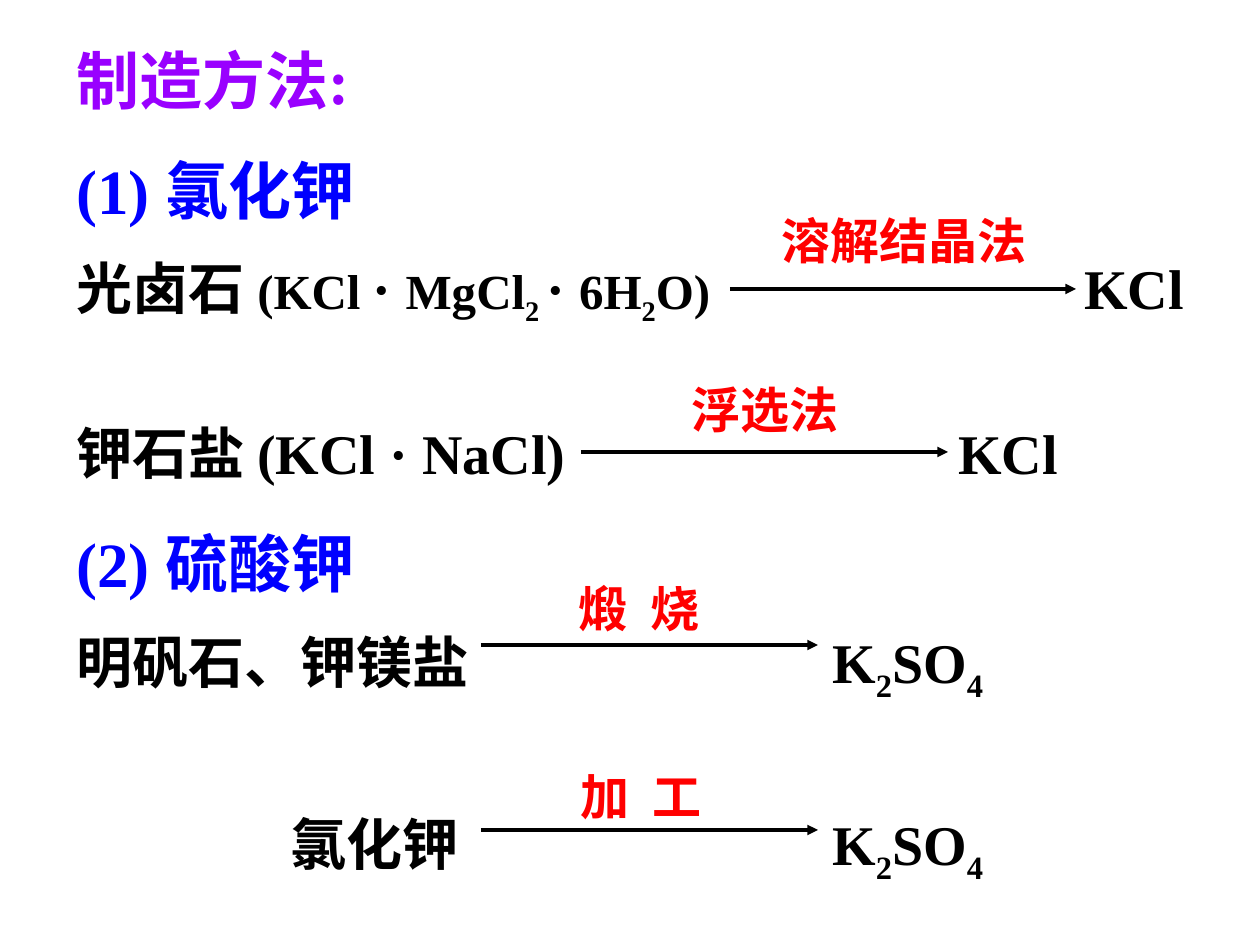
import pptx
import pptx.dml.color
import pptx.enum.shapes
import pptx.oxml
import pptx.oxml.ns
import pptx.util

SCALE = 914400 / 126
BLACK, BLUE, RED, PURPLE = "000000", "0000FF", "FF0000", "9900FF"
LATIN, CHINESE = "Times New Roman", "Noto Sans CJK SC"


def px(length):
    return pptx.util.Emu(round(length * SCALE))


def color(code):
    return pptx.dml.color.RGBColor.from_string(code)


def add_child(parent, tag, **attributes):
    child = pptx.oxml.ns.qn(tag)
    element = parent.makeelement(child, attributes)
    parent.append(element)
    return element


def add_span(para, text, size=32, ink=BLACK, font=LATIN, baseline=0, spacing=0):
    span = para.add_run()
    span.text = text
    span.font.size = pptx.util.Pt(size)
    span.font.bold = True
    span.font.color.rgb = color(ink)
    span.font.name = font
    properties = span.font._element
    add_child(properties, "a:ea", typeface=CHINESE)
    if baseline:
        properties.set("baseline", str(baseline * 1000))
    if spacing:
        properties.set("spc", str(spacing * 100))


def add_formula(para, parts, size=32):
    """Adds parts in turn, with every second part lowered."""
    for index, part in enumerate(parts):
        add_span(para, part, size=size, baseline=-25 if index % 2 else 0)


class Page:
    """Holds the slide and draws its text boxes, paragraphs and arrows."""

    def __init__(self, deck):
        self.slide = deck.slides.add_slide(deck.slide_layouts[6])

    def box(self, left, top, width, height):
        frame = self.slide.shapes.add_textbox(*map(px, (left, top, width, height))).text_frame
        frame.word_wrap = True
        return frame

    def para(self, frame, before=0, line=None, stops=()):
        first = frame.paragraphs[0]
        para = frame.add_paragraph() if first.runs else first
        if before:
            para.space_before = pptx.util.Pt(before)
        if line:
            para.line_spacing = line
        if stops:
            tabs = add_child(para._p.get_or_add_pPr(), "a:tabLst")
            for stop in stops:
                add_child(tabs, "a:tab", pos=str(px(stop)), algn="l")
        return para

    def row(self, frame, before, *stops):
        return self.para(frame, before, 0.8, stops)

    def label(self, words, left, top, width, font=LATIN):
        para = self.para(self.box(left, top, width, 72))
        for index, word in enumerate(words.split()):
            if index:
                add_span(para, " ", size=28, font=font, spacing=7)
            add_span(para, word, size=28, ink=RED, font=font)

    def arrow(self, left, right, y):
        kind = pptx.enum.shapes.MSO_CONNECTOR.STRAIGHT
        arrow = self.slide.shapes.add_connector(kind, px(left), px(y), px(right), px(y))
        arrow.line.color.rgb = color(BLACK)
        arrow.line.width = pptx.util.Pt(2)
        add_child(arrow.line._get_or_add_ln(), "a:tailEnd", type="triangle")
        add_child(arrow._element.spPr, "a:effectLst")


def main():
    deck = pptx.Presentation()
    deck.slide_width, deck.slide_height = px(1260), px(945)
    page = Page(deck)

    title = page.box(64, 35, 417, 88)
    add_span(page.para(title), "制造方法:", size=36, ink=PURPLE)

    body = page.box(64, 145, 1166, 746)
    add_span(page.para(body), "(1) 氯化钾", size=36, ink=BLUE)

    carnallite = page.row(body, 20, 1008)
    add_span(carnallite, "光卤石 ")
    add_span(carnallite, "(KCl ", size=28)
    add_span(carnallite, "· ")
    add_formula(carnallite, ["MgCl", "2 "], size=28)
    add_span(carnallite, "· ")
    add_formula(carnallite, ["6H", "2", "O)"], size=28)
    add_span(carnallite, "\tKCl")

    add_span(page.row(body, 63, 882), "钾石盐 (KCl · NaCl)\tKCl")
    add_span(page.para(body, 22.5), "(2) 硫酸钾", size=36, ink=BLUE)
    add_formula(page.row(body, 20, 756), ["明矾石、钾镁盐\tK", "2", "SO", "4"])
    add_formula(page.row(body, 69, 214, 756), ["\t氯化钾\tK", "2", "SO", "4"])

    page.label("溶解结晶法", 769, 204, 346)
    page.label("浮选法", 679, 373, 294)
    page.label("煅 烧", 566, 572, 305, font=CHINESE)
    page.label("加 工", 568, 760, 346, font=CHINESE)

    for left, right, y in [(730, 1076, 289), (581, 948, 452), (481, 818, 645), (481, 818, 830)]:
        page.arrow(left, right, y)

    deck.save("out.pptx")


if __name__ == "__main__":
    main()
